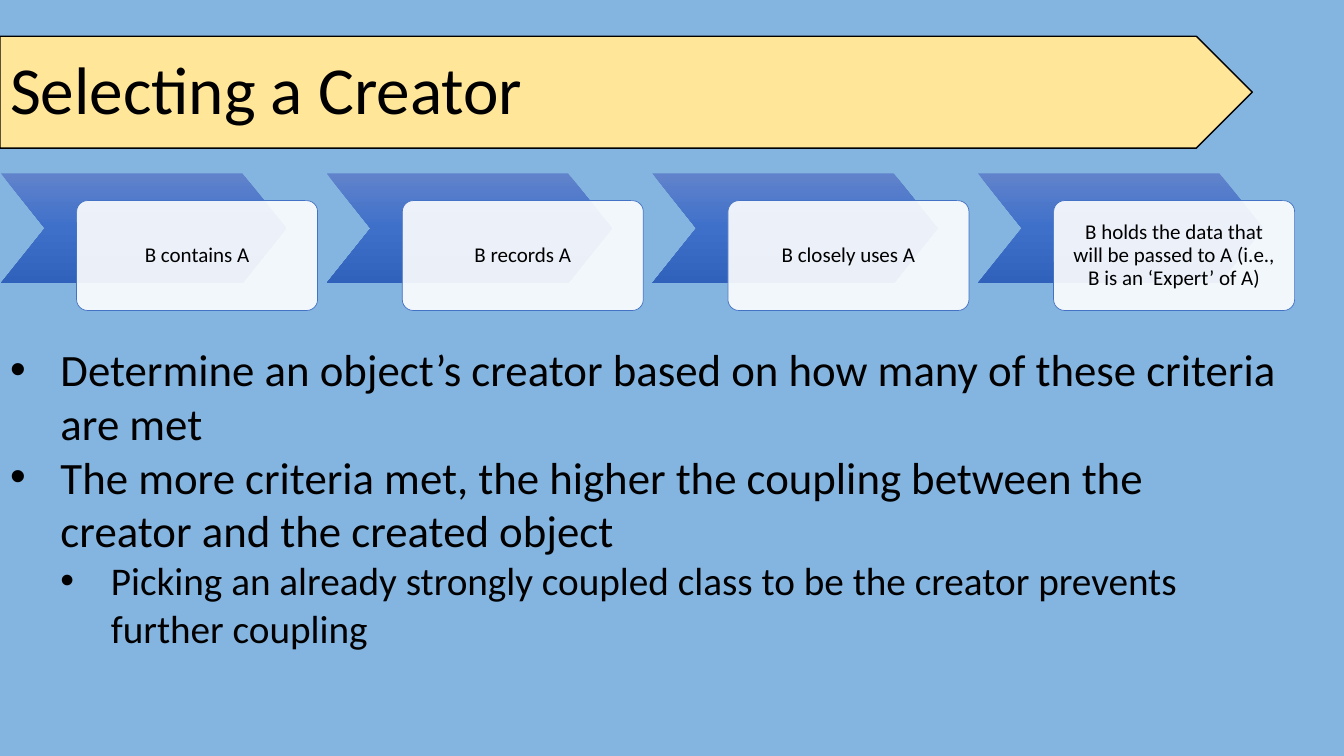
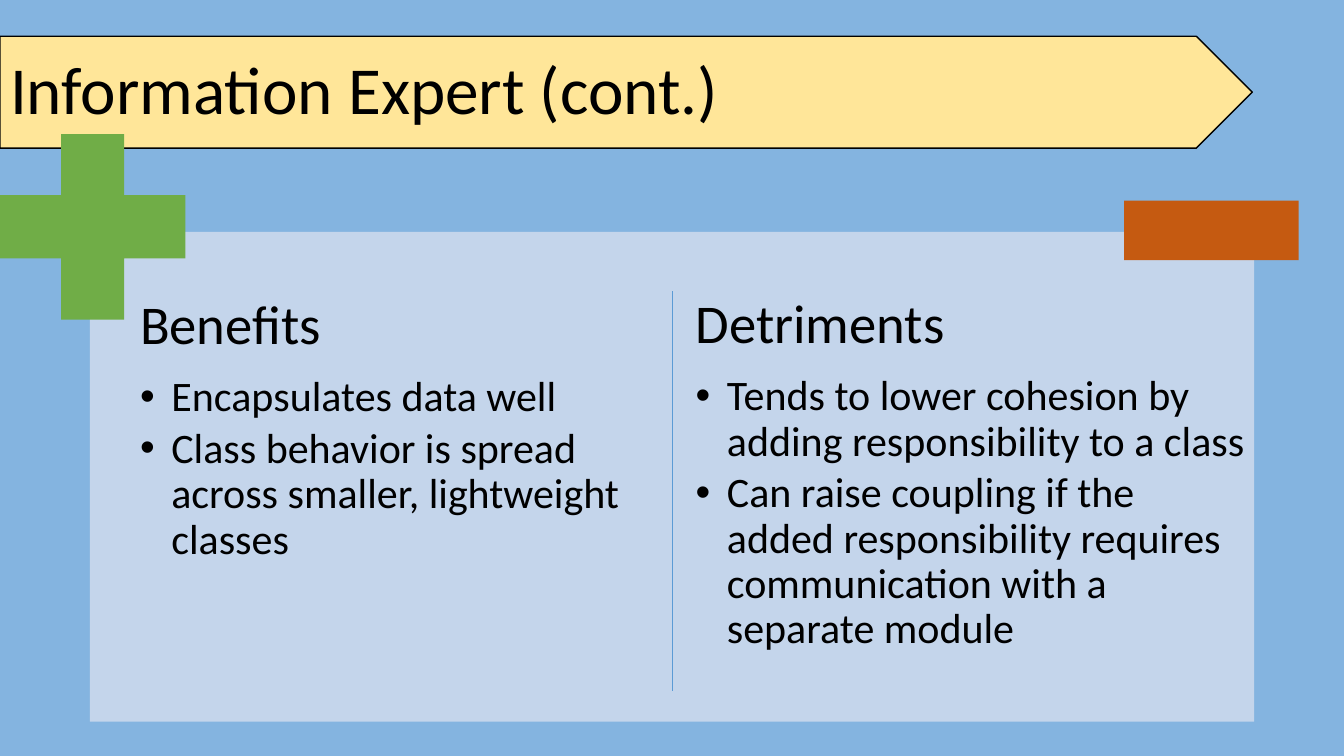
"""Build two slides on choosing a creator and on the information expert."""
import copy

import pptx
import pptx.dml.color
import pptx.enum.shapes
import pptx.enum.text
import pptx.oxml.ns
import pptx.util
from lxml import etree

Inches = pptx.util.Inches
Pt = pptx.util.Pt
qn = pptx.oxml.ns.qn
SHAPE = pptx.enum.shapes.MSO_SHAPE
ALIGN = pptx.enum.text.PP_ALIGN
ANCHOR = pptx.enum.text.MSO_ANCHOR

FONT = "Calibri"
BLACK = "000000"
SKY = "84B4E0"
BANNER_FILL = "FFE699"
CARD_LINE = "4472C4"
CHEVRON_STOPS = [(0, "6183CB"), (0.5, "3E70CA"), (1, "3062BB")]
PANEL_FILL = "C4D5EB"
PLUS_FILL = "70AD47"
MINUS_FILL = "C55A11"
DIVIDER_LINE = "5B9BD5"

CREATOR_TITLE = "Selecting a Creator"
CRITERIA = [
    "B contains A",
    "B records A",
    "B closely uses A",
    "B holds the data that will be passed to A (i.e., B is an ‘Expert’ of A)",
]
CREATOR_POINTS = [
    (0, 32, "Determine an object’s creator based on how many of these criteria are met"),
    (0, 32, "The more criteria met, the higher the coupling between the creator and the created object"),
    (1, 28, "Picking an already strongly coupled class to be the creator prevents further coupling"),
]

EXPERT_TITLE = "Information Expert (cont.)"
EXPERT_COLUMNS = [
    ((1.31, 2.87, 5.09, 4.16), "Benefits", [
        "Encapsulates data well",
        "Class behavior is spread across smaller, lightweight classes",
    ]),
    ((6.82, 2.86, 5.62, 4.16), "Detriments", [
        "Tends to lower cohesion by adding responsibility to a class",
        "Can raise coupling if the added responsibility requires communication with a separate module",
    ]),
]


def colour(value):
    return pptx.dml.color.RGBColor.from_string(value)


def place(shape, left, top, width, height):
    shape.left, shape.top = Inches(left), Inches(top)
    shape.width, shape.height = Inches(width), Inches(height)


def prepare_frame(shape, inset, anchor):
    frame = shape.text_frame
    frame.word_wrap = True
    frame.auto_size = pptx.enum.text.MSO_AUTO_SIZE.NONE
    frame.vertical_anchor = anchor
    frame.margin_left = frame.margin_right = Inches(inset)
    frame.margin_top = frame.margin_bottom = Inches(min(inset, 0.08))
    return frame


def write(frame, text, size=15, align=ALIGN.LEFT, spacing=0.9, after=0,
          level=0, indent=0, hang=0, bullet=False):
    para = frame.paragraphs[0] if not frame.text else frame.add_paragraph()
    para.alignment, para.level = align, level
    para.line_spacing = spacing
    para.space_before, para.space_after = Pt(0), Pt(after)
    span = para.add_run()
    span.text = text
    span.font.name, span.font.size = FONT, Pt(size)
    span.font.color.rgb = colour(BLACK)
    properties = para._p.get_or_add_pPr()
    properties.set("marL", str(Inches(indent)))
    properties.set("indent", str(-Inches(hang)))
    if bullet:
        etree.SubElement(properties, qn("a:buFont"), typeface="Arial")
        etree.SubElement(properties, qn("a:buChar"), char="•")
    else:
        etree.SubElement(properties, qn("a:buNone"))


def add_shape(page, kind, box, fill=None, line=None, width=1, adjust=None):
    shape = page.shapes.add_shape(kind, *(Inches(length) for length in box))
    shape.shadow.inherit = False
    if adjust is not None:
        shape.adjustments[0] = adjust
    if fill:
        shape.fill.solid()
        shape.fill.fore_color.rgb = colour(fill)
    if line:
        shape.line.color.rgb = colour(line)
        shape.line.width = Pt(width)
    else:
        shape.line.fill.background()
    return shape


def add_chevron(page, box):
    chevron = add_shape(page, SHAPE.CHEVRON, box, adjust=0.4)
    chevron.fill.gradient()
    chevron.fill.gradient_angle = 270
    stop_list = chevron._element.spPr.find(".//" + qn("a:gsLst"))
    stop_list.insert(1, copy.deepcopy(stop_list[0]))
    for stop, (position, value) in zip(chevron.fill.gradient_stops, CHEVRON_STOPS):
        stop.position = position
        stop.color.rgb = colour(value)


def add_card(page, box, text):
    card = add_shape(page, SHAPE.ROUNDED_RECTANGLE, box, "FFFFFF", CARD_LINE, 0.5, 0.1)
    fill_colour = card._element.spPr.find(qn("a:solidFill"))[0]
    etree.SubElement(fill_colour, qn("a:alpha"), val="90000")
    write(prepare_frame(card, 0.15, ANCHOR.MIDDLE), text, align=ALIGN.CENTER)


def add_page(deck, layout, title):
    page = deck.slides.add_slide(deck.slide_layouts[layout])
    frame = prepare_frame(page.shapes.title, 0.1, ANCHOR.MIDDLE)
    write(frame, title, size=48)
    return page


def style_master(deck, page):
    master = deck.slide_master
    master.background.fill.solid()
    master.background.fill.fore_color.rgb = colour(SKY)
    place(master.placeholders[0], 0, 0.19, 11.5, 1.45)
    banner = add_shape(page, SHAPE.PENTAGON, (0, 0.36, 12.42, 1.11), BANNER_FILL, BLACK)
    master.shapes._spTree.insert(2, banner._element)


def build_creator(deck):
    page = add_page(deck, 1, CREATOR_TITLE)
    for index, text in enumerate(CRITERIA):
        left = 0.01 + 3.23 * index
        add_chevron(page, (left, 1.72, 2.83, 1.09))
        add_card(page, (left + 0.75, 1.99, 2.39, 1.09), text)
    body = page.placeholders[1]
    place(body, 0, 3.31, 12.77, 3.2)
    frame = prepare_frame(body, 0.1, ANCHOR.TOP)
    for level, size, text in CREATOR_POINTS:
        write(frame, text, size=size, spacing=1.0, level=level,
              indent=0.5 * (level + 1), hang=0.5, bullet=True)
    return page


def build_expert(deck):
    page = add_page(deck, 3, EXPERT_TITLE)
    add_shape(page, SHAPE.RECTANGLE, (0.89, 2.3, 11.55, 4.86), PANEL_FILL)
    for number, (box, heading, points) in enumerate(EXPERT_COLUMNS, 1):
        body = page.placeholders[number]
        place(body, *box)
        page.shapes._spTree.append(body._element)
        frame = prepare_frame(body, 0.08, ANCHOR.TOP)
        write(frame, heading, size=39, after=39 * 0.35)
        for text in points:
            write(frame, text, size=30, after=30 * 0.15, level=1,
                  indent=0.31, hang=0.31, bullet=True)
    add_shape(page, SHAPE.CROSS, (0, 1.33, 1.84, 1.84), PLUS_FILL, adjust=0.33)
    add_shape(page, SHAPE.RECTANGLE, (11.15, 1.99, 1.73, 0.59), MINUS_FILL)
    divider = page.shapes.add_connector(
        pptx.enum.shapes.MSO_CONNECTOR.STRAIGHT,
        Inches(6.67), Inches(2.89), Inches(6.67), Inches(6.86))
    divider.line.color.rgb = colour(DIVIDER_LINE)
    divider.line.width = Pt(1)
    etree.SubElement(divider._element.spPr, qn("a:effectLst"))


def main():
    deck = pptx.Presentation()
    deck.slide_width, deck.slide_height = Inches(13.33), Inches(7.5)
    style_master(deck, build_creator(deck))
    build_expert(deck)
    deck.save("out.pptx")


if __name__ == "__main__":
    main()
